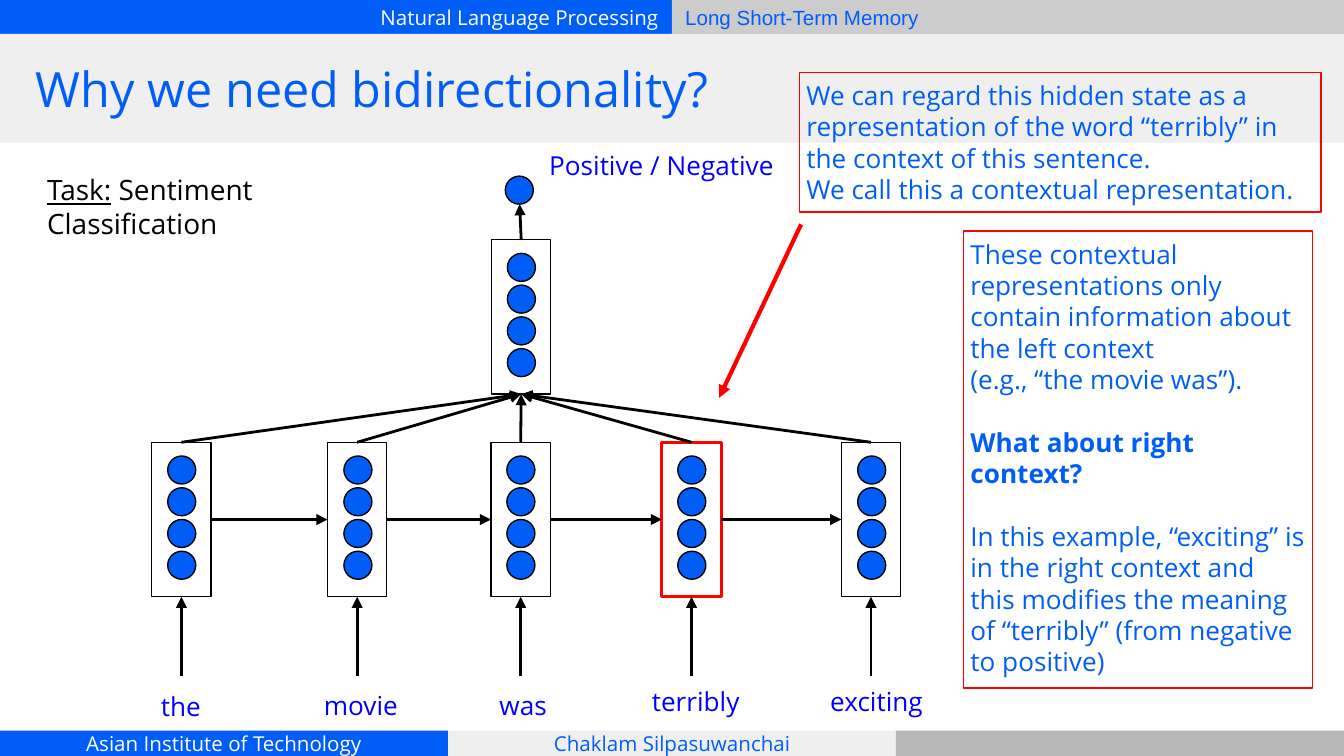
from lxml.etree import SubElement
from pptx import Presentation
from pptx.dml.color import RGBColor
from pptx.enum.shapes import MSO_CONNECTOR, MSO_SHAPE
from pptx.enum.text import MSO_ANCHOR, PP_ALIGN
from pptx.oxml.ns import qn
from pptx.util import Cm, Pt

BLUE, WORD_BLUE, RED = "005EF6", "0000FF", "FF0000"
BLACK, WHITE, PALE = "000000", "FFFFFF", "EFEFEF"
WIDTH, HEIGHT = 25.4, 14.29
THIRD = WIDTH / 3
FOOTER_TOP, FOOTER_HEIGHT = 13.81, 0.48
CELL_WIDTH, CELL_HEIGHT, CELL_TOP = 1.12, 2.92, 8.36
DOT, DOT_INSET, DOT_STEP, DOT_COUNT = 0.53, 0.26, 0.6, 4
SUMMARY_LEFT, SUMMARY_TOP = 9.29, 4.53
OUTPUT_LEFT, OUTPUT_TOP = 9.55, 3.33
INPUT_TOP = 12.78

TITLE = "Why we need bidirectionality?"
BANDS = [
    ((0, 0, WIDTH / 2, 0.64), BLUE, "Natural Language Processing", "Open Sans", WHITE, PP_ALIGN.RIGHT),
    ((WIDTH / 2, 0, WIDTH / 2, 0.64), "CCCCCC", "Long Short-Term Memory", "Arial", BLUE, PP_ALIGN.LEFT),
    ((0, FOOTER_TOP, THIRD, FOOTER_HEIGHT), BLUE, "Asian Institute of Technology", "Open Sans", WHITE, PP_ALIGN.CENTER),
    ((THIRD, FOOTER_TOP, THIRD, FOOTER_HEIGHT), PALE, "Chaklam Silpasuwanchai", "Open Sans", BLUE, PP_ALIGN.CENTER),
    ((2 * THIRD, FOOTER_TOP, THIRD, FOOTER_HEIGHT), "B7B7B7", None, None, None, None),
    ((0, 0.64, WIDTH, 2.06), PALE, None, None, None, None),
]
STEPS = [
    {"word": "the", "cell": 2.87, "label": (2.79, 12.8, 1.42)},
    {"word": "movie", "cell": 6.19, "label": (5.87, 12.78, 2.34)},
    {"word": "was", "cell": 9.28, "label": (9.19, 12.78, 1.68)},
    {"word": "terribly", "cell": 12.51, "label": (12.07, 12.7, 2.34), "outline": (RED, 1.5)},
    {"word": "exciting", "cell": 15.9, "label": (15.44, 12.7, 2.34)},
]
NOTES = [
    ((18.21, 4.37, 6.6, 8.64), [
        ("These contextual representations only contain information about the left context", False, 0),
        ("(e.g., “the movie was”).", False, 0),
        ("What about right context?", True, 16.8),
        ("In this example, “exciting” is in the right context and this modifies the meaning of "
         "“terribly” (from negative to positive)", False, 16.8),
    ]),
    ((15.11, 1.37, 9.86, 2.64), [
        ("We can regard this hidden state as a representation of the word “terribly” in the context "
         "of this sentence.", False, 0),
        ("We call this a contextual representation.", False, 0),
    ]),
]


def color(value):
    return RGBColor.from_string(value)


def place(area):
    return [Cm(round(value, 2)) for value in area]


def add_span(para, text, size, ink, face="Open Sans", bold=False, underline=False):
    span = para.add_run()
    span.text = text
    font = span.font
    font.size, font.name, font.bold, font.underline = Pt(size), face, bold, underline
    font.color.rgb = color(ink)


def set_frame(box, anchor, inset=0.25):
    frame = box.text_frame
    frame.word_wrap = True
    frame.vertical_anchor = anchor
    frame.margin_left = frame.margin_right = Cm(inset)
    frame.margin_top = frame.margin_bottom = Cm(inset)
    return frame


def add_block(page, kind, area, fill=None, outline=None):
    block = page.shapes.add_shape(kind, *place(area))
    block.shadow.inherit = False
    if fill:
        block.fill.solid()
        block.fill.fore_color.rgb = color(fill)
    else:
        block.fill.background()
    if outline:
        block.line.color.rgb = color(outline[0])
        block.line.width = Pt(outline[1])
    else:
        block.line.fill.background()
    return block


def add_text(page, area, spans, size, ink):
    box = page.shapes.add_textbox(*place(area))
    para = set_frame(box, MSO_ANCHOR.TOP).paragraphs[0]
    for text, underline in spans:
        add_span(para, text, size, ink, underline=underline)


def add_arrow(page, start, end, ink=BLACK, width=1.5):
    arrow = page.shapes.add_connector(MSO_CONNECTOR.STRAIGHT, *place(start + end))
    arrow.line.color.rgb = color(ink)
    arrow.line.width = Pt(width)
    SubElement(arrow.line._get_or_add_ln(), qn("a:tailEnd"), type="triangle")
    SubElement(arrow.element.spPr, qn("a:effectLst"))


def add_dot(page, left, top):
    add_block(page, MSO_SHAPE.OVAL, (left, top, DOT, DOT), BLUE, (BLACK, 0.75))


def add_cell(page, left, top, outline=(BLACK, 0.75)):
    add_block(page, MSO_SHAPE.RECTANGLE, (left, top, CELL_WIDTH, CELL_HEIGHT), None, outline)
    for index in range(DOT_COUNT):
        add_dot(page, left + (CELL_WIDTH - DOT) / 2 + 0.01, top + DOT_INSET + index * DOT_STEP)


def add_bands(page):
    for area, fill, text, face, ink, align in BANDS:
        band = add_block(page, MSO_SHAPE.RECTANGLE, area, fill)
        if text:
            para = set_frame(band, MSO_ANCHOR.MIDDLE).paragraphs[0]
            para.alignment = align
            add_span(para, text, 11, ink, face)
    return band


def add_title(page, band):
    title = page.shapes.title
    title.left, title.top, title.width, title.height = place((0.43, 0.64, 24.56, 2.06))
    para = set_frame(title, MSO_ANCHOR.MIDDLE).paragraphs[0]
    para.alignment = PP_ALIGN.LEFT
    add_span(para, TITLE, 26, BLUE)
    band.element.addnext(title.element)


def add_network(page):
    middle = CELL_TOP + CELL_HEIGHT / 2
    summary_center = SUMMARY_LEFT + CELL_WIDTH / 2
    merge = (summary_center, SUMMARY_TOP + CELL_HEIGHT)
    for index, step in enumerate(STEPS):
        left = step["cell"]
        center = left + CELL_WIDTH / 2
        add_cell(page, left, CELL_TOP, step.get("outline", (BLACK, 0.75)))
        add_arrow(page, (center, INPUT_TOP), (center, CELL_TOP + CELL_HEIGHT))
        add_arrow(page, (center, CELL_TOP), merge)
        if index:
            add_arrow(page, (STEPS[index - 1]["cell"] + CELL_WIDTH, middle), (left, middle))
        add_text(page, step["label"] + (1.12,), [(step["word"], False)], 14, WORD_BLUE)
    add_cell(page, SUMMARY_LEFT, SUMMARY_TOP)
    add_dot(page, OUTPUT_LEFT, OUTPUT_TOP)
    add_arrow(page, (summary_center, SUMMARY_TOP), (OUTPUT_LEFT + DOT / 2, OUTPUT_TOP + DOT))
    add_text(page, (10.13, 2.57, 4.98, 1.12), [("Positive / Negative", False)], 14, WORD_BLUE)


def add_notes(page):
    for area, lines in NOTES:
        note = add_block(page, MSO_SHAPE.RECTANGLE, area, None, (RED, 0.75))
        frame = set_frame(note, MSO_ANCHOR.TOP, 0.13)
        for index, (text, bold, gap) in enumerate(lines):
            para = frame.add_paragraph() if index else frame.paragraphs[0]
            para.alignment = PP_ALIGN.LEFT
            para.space_before = Pt(gap)
            add_span(para, text, 14, BLUE, bold=bold)
    add_arrow(page, (15.14, 4.24), (13.59, 7.52), RED, 2.25)


def main():
    deck = Presentation()
    deck.slide_width, deck.slide_height = Cm(WIDTH), Cm(HEIGHT)
    page = deck.slides.add_slide(deck.slide_layouts[5])
    add_title(page, add_bands(page))
    add_text(page, (0.64, 3.02, 4.98, 1.75),
             [("Task:", True), (" Sentiment Classification", False)], 15, BLACK)
    add_network(page)
    add_notes(page)
    deck.save("out.pptx")


if __name__ == "__main__":
    main()
